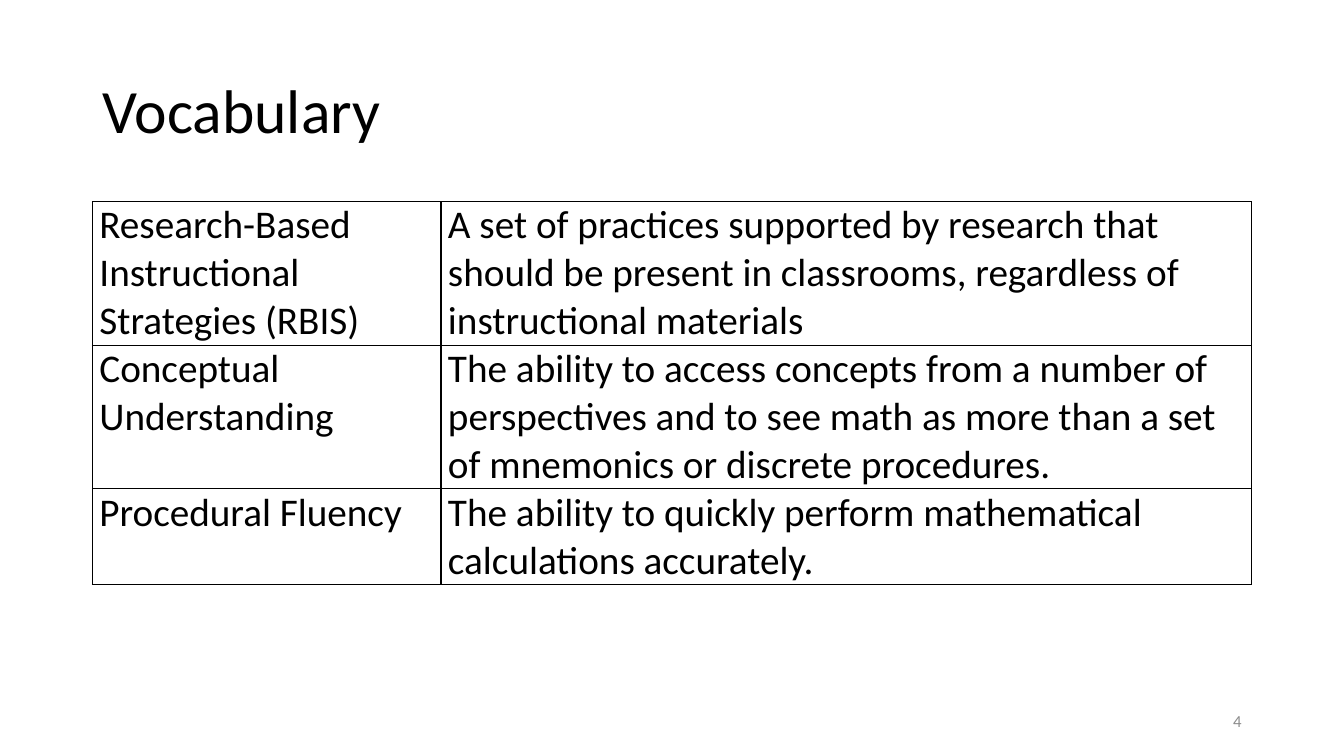
from dataclasses import dataclass

from lxml import etree
from pptx import Presentation
from pptx import util as u
from pptx.dml import color
from pptx.enum import text
from pptx.oxml import ns


@dataclass(frozen=True)
class Theme:
    font: str = "Calibri"
    ink: str = "000000"
    muted: str = "8C8C8C"
    title_size: int = 44
    body_size: int = 28
    number_size: int = 12
    border: float = 1
    cell_inset: float = 0.07


def write(frame, words, font, size, ink, align=text.PP_ALIGN.LEFT, spacing=None):
    frame.word_wrap = True
    para = frame.paragraphs[0]
    para.alignment = align
    para.line_spacing = spacing
    span = para.add_run()
    span.text = words
    span.font.name = font
    span.font.size = u.Pt(size)
    span.font.color.rgb = color.RGBColor.from_string(ink)


class Page:
    COLUMNS, ROWS = 160, 90

    def __init__(self, deck, theme):
        self.theme = theme
        self.slide = deck.slides.add_slide(deck.slide_layouts[6])
        self.column = deck.slide_width / self.COLUMNS
        self.row = deck.slide_height / self.ROWS

    def across(self, columns):
        return round(columns * self.column)

    def down(self, rows):
        return round(rows * self.row)

    def area(self, left, top, width, height):
        return self.across(left), self.down(top), self.across(width), self.down(height)

    def label(self, words, at, size, ink, **format):
        box = self.slide.shapes.add_textbox(*self.area(*at))
        box.text_frame.vertical_anchor = text.MSO_ANCHOR.MIDDLE
        write(box.text_frame, words, self.theme.font, size, ink, **format)

    def outline(self, cell):
        properties = cell._tc.get_or_add_tcPr()
        for index, side in enumerate(("lnL", "lnR", "lnT", "lnB")):
            line = etree.Element(ns.qn(f"a:{side}"), w=str(u.Pt(self.theme.border)))
            fill = etree.SubElement(line, ns.qn("a:solidFill"))
            etree.SubElement(fill, ns.qn("a:srgbClr"), val=self.theme.ink)
            properties.insert(index, line)

    def table(self, entries, left, top, widths, heights):
        at = self.area(left, top, sum(widths), sum(heights))
        table = self.slide.shapes.add_table(len(entries), len(widths), *at).table
        table.first_row = table.horz_banding = False
        for column, width in zip(table.columns, widths):
            column.width = self.across(width)
        for row, height, entry in zip(table.rows, heights, entries):
            row.height = self.down(height)
            for cell, words in zip(row.cells, entry):
                cell.margin_left = cell.margin_right = u.Inches(self.theme.cell_inset)
                cell.margin_top = cell.margin_bottom = 0
                cell.fill.background()
                self.outline(cell)
                write(cell.text_frame, words, self.theme.font,
                      self.theme.body_size, self.theme.ink)


VOCABULARY = (
    ("Research-Based Instructional Strategies (RBIS)",
     "A set of practices supported by research that should be present in "
     "classrooms, regardless of instructional materials"),
    ("Conceptual Understanding",
     "The ability to access concepts from a number of perspectives and to see "
     "math as more than a set of mnemonics or discrete procedures."),
    ("Procedural Fluency",
     "The ability to quickly perform mathematical calculations accurately."),
)
LINES_PER_ENTRY = (3, 3, 2)
LINE_ROWS = 5.7


def main():
    deck = Presentation()
    deck.slide_width, deck.slide_height = u.Inches(13.33), u.Inches(7.5)
    theme = Theme()
    page = Page(deck, theme)
    page.label("Vocabulary", (11, 4.8, 138, 17.4), theme.title_size, theme.ink,
               spacing=0.9)
    page.table(VOCABULARY, 11, 24, (41.5, 96.5),
               [lines * LINE_ROWS for lines in LINES_PER_ENTRY])
    page.label("4", (113, 83.4, 36, 4.8), theme.number_size, theme.muted,
               align=text.PP_ALIGN.RIGHT)
    deck.save("out.pptx")


if __name__ == "__main__":
    main()
